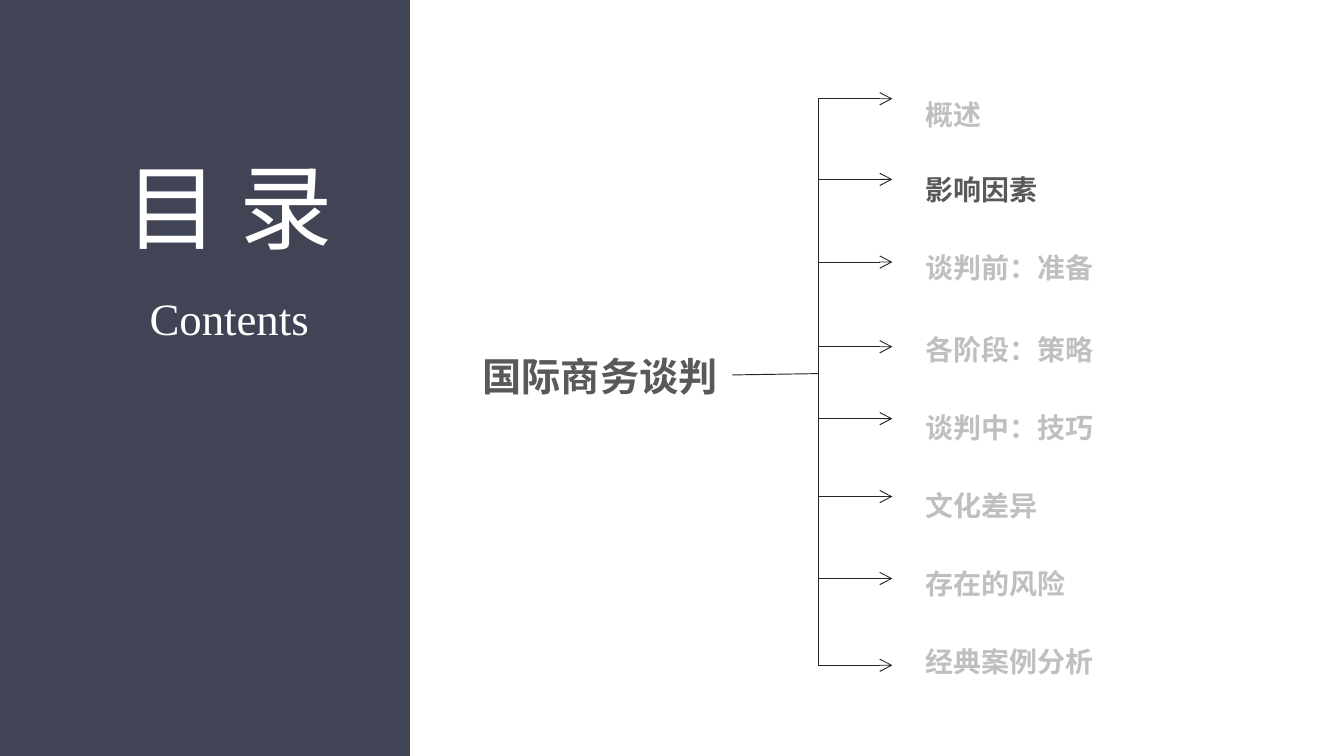
import pptx
import pptx.dml.color
import pptx.enum.shapes
import pptx.enum.text
import pptx.oxml.ns
import pptx.util
from lxml import etree

PX = 4572  # EMU; 200 px to the inch
NAVY = pptx.dml.color.RGBColor(0x41, 0x44, 0x55)
WHITE = pptx.dml.color.RGBColor(0xFF, 0xFF, 0xFF)
DARK = pptx.dml.color.RGBColor(0x59, 0x59, 0x59)
PALE = pptx.dml.color.RGBColor(0xBF, 0xBF, 0xBF)
INK = pptx.dml.color.RGBColor(0x26, 0x26, 0x26)
CJK = "Noto Sans CJK SC"
CENTER = pptx.enum.text.PP_ALIGN.CENTER
LEFT = pptx.enum.text.PP_ALIGN.LEFT
TOP = pptx.enum.text.MSO_ANCHOR.TOP
MIDDLE = pptx.enum.text.MSO_ANCHOR.MIDDLE

SLIDE_WIDTH, SLIDE_HEIGHT = 2000, 1125
SPINE_X, ARROW_END, TOPIC_X = 1218, 1328, 1363
CURRENT_TOPIC = "影响因素"
# topic, top of its text box, height of its arrow, width of its text box
TOPICS = [
    ("概述", 112, 147, 328),
    ("影响因素", 224, 267, 472),
    ("谈判前：准备", 340, 390, 470),
    ("各阶段：策略", 462, 516, 568),
    ("谈判中：技巧", 578, 623, 472),
    ("文化差异", 694, 739, 198),
    ("存在的风险", 811, 861, 472),
    ("经典案例分析", 927, 990, 550),
]


def px(*lengths):
    return [pptx.util.Emu(length * PX) for length in lengths]


def write(box, text, size, color, font=CJK, bold=False, align=CENTER,
          anchor=TOP, wrap=False, spacing=1.0, insets=(14, 8)):
    frame = box.text_frame
    frame.text = text
    frame.word_wrap = wrap
    frame.auto_size = pptx.enum.text.MSO_AUTO_SIZE.SHAPE_TO_FIT_TEXT
    frame.vertical_anchor = anchor
    frame.margin_left, frame.margin_top = px(*insets)
    frame.margin_right, frame.margin_bottom = px(*insets)
    para = frame.paragraphs[0]
    para.alignment = align
    para.line_spacing = spacing
    span = para.runs[0]
    span.font.name = font
    span.font.size = pptx.util.Pt(size)
    span.font.bold = bold
    span.font.color.rgb = color
    east_asian = etree.SubElement(span.font._element, pptx.oxml.ns.qn("a:ea"))
    east_asian.set("typeface", CJK)


def add_text(page, bounds, text, size, color, **style):
    write(page.shapes.add_textbox(*px(*bounds)), text, size, color, **style)


def add_panel(page, bounds, color):
    panel = page.shapes.add_shape(
        pptx.enum.shapes.MSO_SHAPE.RECTANGLE, *px(*bounds))
    panel.shadow.inherit = False
    panel.fill.solid()
    panel.fill.fore_color.rgb = color
    panel.line.fill.background()
    return panel


def add_line(page, start, end, arrow=False):
    line = page.shapes.add_connector(
        pptx.enum.shapes.MSO_CONNECTOR.STRAIGHT, *px(*start, *end))
    line.line.color.rgb = INK
    line.line.width = pptx.util.Pt(0.5)
    properties = line._element.spPr
    if arrow:
        outline = properties.find(pptx.oxml.ns.qn("a:ln"))
        tail = etree.SubElement(outline, pptx.oxml.ns.qn("a:tailEnd"))
        tail.set("type", "arrow")
    etree.SubElement(properties, pptx.oxml.ns.qn("a:effectLst"))


def add_title(page):
    """Format the title placeholder and lift it above the side panel."""
    title = page.shapes.title
    title.left, title.top, title.width, title.height = px(152, 214, 378, 182)
    write(title, "目 录", 50, WHITE)
    page.shapes._spTree.append(title._element)


def add_topic_tree(page):
    label = add_panel(page, (696, 514, 394, 90), WHITE)
    write(label, "国际商务谈判", 21, DARK, bold=True, insets=(20, 10))
    add_line(page, (1090, 558), (SPINE_X, 556))
    add_line(page, (SPINE_X, TOPICS[0][2]), (SPINE_X, TOPICS[-1][2]))
    for topic, top, arrow_y, width in TOPICS:
        add_line(page, (SPINE_X, arrow_y), (ARROW_END, arrow_y), arrow=True)
        color = DARK if topic == CURRENT_TOPIC else PALE
        add_text(page, (TOPIC_X, top, width, 90), topic, 15, color,
                 font="Cabin", bold=True, align=LEFT, anchor=MIDDLE,
                 wrap=True, spacing=1.5)


def main():
    deck = pptx.Presentation()
    deck.slide_width, deck.slide_height = px(SLIDE_WIDTH, SLIDE_HEIGHT)
    page = deck.slides.add_slide(deck.slide_layouts.get_by_name("Title Only"))
    add_panel(page, (0, 0, 610, SLIDE_HEIGHT), NAVY)
    add_title(page)
    add_text(page, (206, 425, 270, 96), "Contents", 24, WHITE,
             font="Times New Roman")
    add_topic_tree(page)
    deck.save("out.pptx")


if __name__ == "__main__":
    main()
